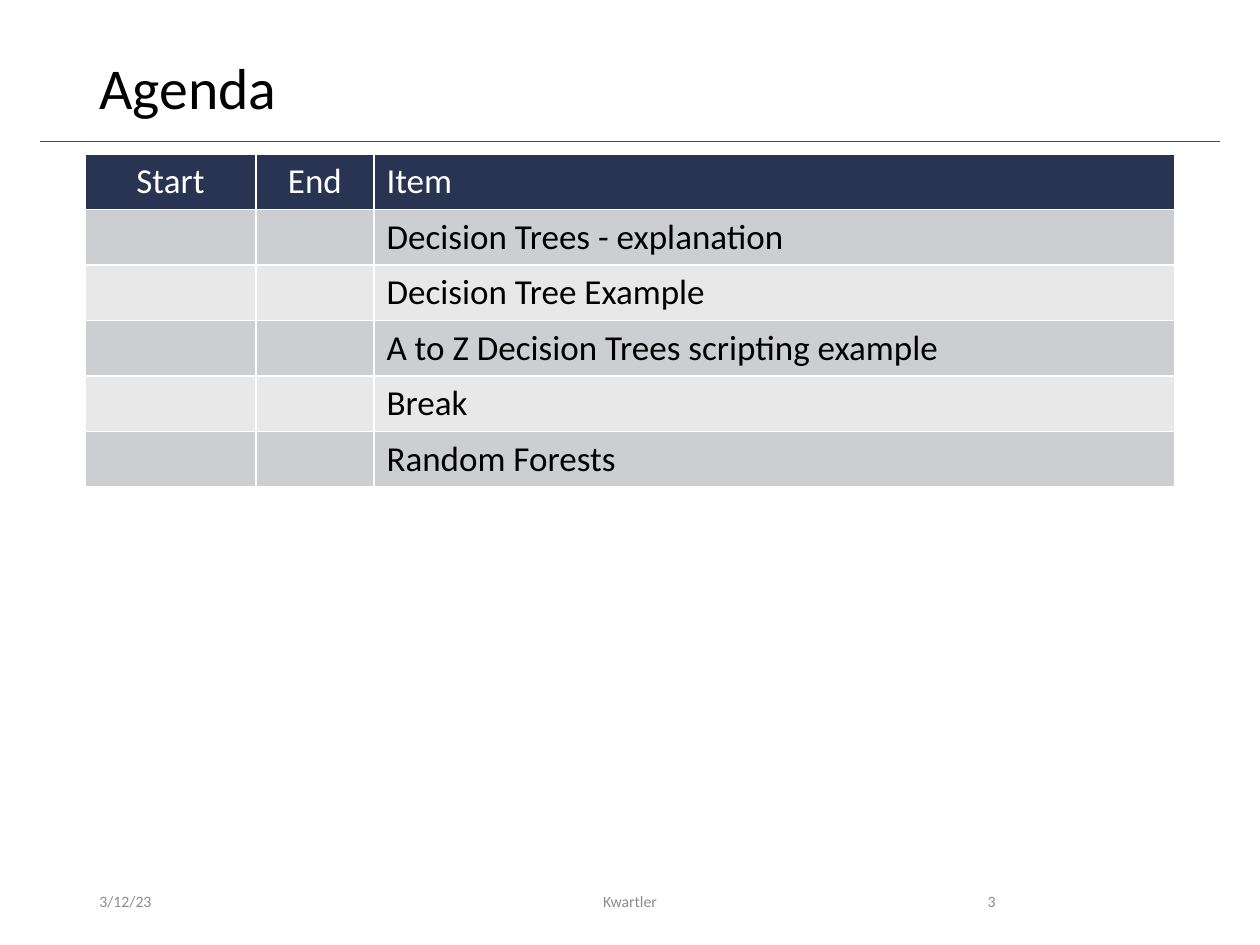
from dataclasses import dataclass

from lxml import etree
from pptx import Presentation
from pptx.dml.color import RGBColor
from pptx.enum.shapes import MSO_CONNECTOR
from pptx.enum.text import MSO_ANCHOR, PP_ALIGN
from pptx.oxml.ns import qn
from pptx.util import Emu, Pt

LEFT, CENTER, RIGHT = PP_ALIGN.LEFT, PP_ALIGN.CENTER, PP_ALIGN.RIGHT
MIDDLE = MSO_ANCHOR.MIDDLE
STRAIGHT = MSO_CONNECTOR.STRAIGHT

PX = 914400 // 126
FONT = "Calibri"
BLACK = RGBColor(0x00, 0x00, 0x00)
WHITE = RGBColor(0xFF, 0xFF, 0xFF)
GRAY = RGBColor(0x8C, 0x8C, 0x8C)
CRIMSON = RGBColor(0xA5, 0x1C, 0x30)
NAVY = RGBColor(0x29, 0x33, 0x52)
BAND_DARK = RGBColor(0xCD, 0xCE, 0xD1)
BAND_LIGHT = RGBColor(0xE8, 0xE8, 0xE9)


@dataclass(frozen=True)
class Label:
    """One line of text with its box in pixels."""
    text: str
    left: int
    top: int
    width: int
    height: int
    size: int
    color: RGBColor
    align: PP_ALIGN = LEFT
    spacing: float = 1.0


@dataclass(frozen=True)
class Column:
    """One agenda column: heading, width in pixels and alignment."""
    heading: str
    width: int
    align: PP_ALIGN


LABELS = [
    Label("Agenda", 87, 50, 1086, 82, 33, BLACK, spacing=0.9),
    Label("3/12/23", 87, 876, 284, 50, 9, GRAY),
    Label("3", 890, 876, 118, 50, 9, GRAY, RIGHT),
    Label("Kwartler", 417, 876, 426, 50, 9, GRAY, CENTER),
]
COLUMNS = [
    Column("Start", 171, CENTER),
    Column("End", 118, CENTER),
    Column("Item", 801, LEFT),
]
AGENDA_ITEMS = [
    "Decision Trees - explanation",
    "Decision Tree Example",
    "A to Z Decision Trees scripting example",
    "Break",
    "Random Forests",
]
TABLE_LEFT, TABLE_TOP, ROW_HEIGHT = 85, 154, 55


def px(value: int) -> Emu:
    """Turn pixels into EMU."""
    return Emu(value * PX)


def style_paragraph(paragraph, size: int, color: RGBColor, align: PP_ALIGN) -> None:
    """Set the font and alignment of a paragraph."""
    paragraph.alignment = align
    paragraph.font.name = FONT
    paragraph.font.size = Pt(size)
    paragraph.font.color.rgb = color


def add_label(slide, label: Label) -> None:
    """Add one vertically centred text box."""
    box = slide.shapes.add_textbox(
        px(label.left), px(label.top), px(label.width), px(label.height))
    frame = box.text_frame
    frame.word_wrap = True
    frame.vertical_anchor = MIDDLE
    paragraph = frame.paragraphs[0]
    paragraph.text = label.text
    paragraph.line_spacing = label.spacing
    style_paragraph(paragraph, label.size, label.color, label.align)


def add_title_rule(slide) -> None:
    """Draw the thin line below the title."""
    rule = slide.shapes.add_connector(STRAIGHT, px(40), px(141), px(1220), px(141))
    rule.line.color.rgb = CRIMSON
    rule.line.width = Pt(0.5)
    etree.SubElement(rule._element.spPr, qn("a:effectLst"))


def set_borders(cell, color: RGBColor, width: int) -> None:
    """Put the same border on all four sides of a cell."""
    properties = cell._tc.get_or_add_tcPr()
    for index, side in enumerate(("a:lnL", "a:lnR", "a:lnT", "a:lnB")):
        line = etree.Element(qn(side), w=str(Pt(width)))
        fill = etree.SubElement(line, qn("a:solidFill"))
        etree.SubElement(fill, qn("a:srgbClr"), val=str(color))
        properties.insert(index, line)


def add_agenda(slide) -> None:
    """Add the agenda table with its heading row and banded items."""
    rows = [[column.heading for column in COLUMNS]]
    rows += [["", "", item] for item in AGENDA_ITEMS]
    table = slide.shapes.add_table(
        len(rows), len(COLUMNS), px(TABLE_LEFT), px(TABLE_TOP),
        px(sum(column.width for column in COLUMNS)),
        px(ROW_HEIGHT * len(rows))).table
    for index, column in enumerate(COLUMNS):
        table.columns[index].width = px(column.width)
    for row, texts in enumerate(rows):
        band = BAND_DARK if row % 2 else BAND_LIGHT
        fill, color = (band, BLACK) if row else (NAVY, WHITE)
        for index, text in enumerate(texts):
            cell = table.cell(row, index)
            cell.fill.solid()
            cell.fill.fore_color.rgb = fill
            set_borders(cell, WHITE, 1)
            paragraph = cell.text_frame.paragraphs[0]
            paragraph.text = text
            style_paragraph(paragraph, 20, color, COLUMNS[index].align)
            paragraph.font.bold = False


def main() -> None:
    """Build the agenda slide and save it."""
    presentation = Presentation()
    presentation.slide_width = px(1260)
    presentation.slide_height = px(945)
    slide = presentation.slides.add_slide(presentation.slide_layouts[6])
    add_title_rule(slide)
    add_agenda(slide)
    for label in LABELS:
        add_label(slide, label)
    presentation.save("out.pptx")


main()
